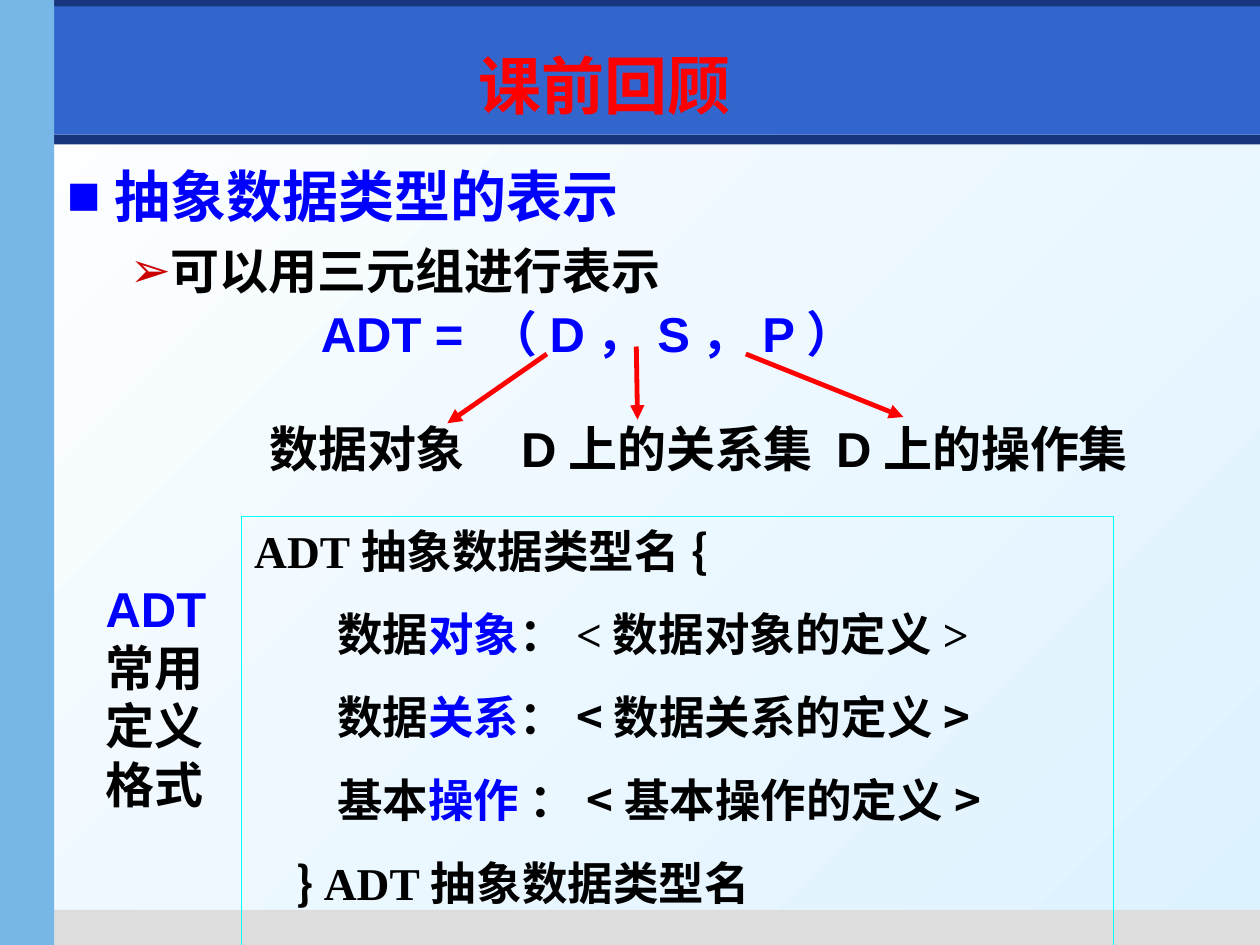
import lxml.etree
import pptx
import pptx.dml.color
import pptx.enum.shapes
import pptx.enum.text
import pptx.oxml.ns
import pptx.util

Pt = pptx.util.Pt
qn = pptx.oxml.ns.qn

COLORS = {
    "navy": "17347D", "banner": "3366CC", "side": "77B7E7", "footer": "DDDDDD",
    "white": "FFFFFF", "pale": "DDF2FF", "blue": "0000FF", "black": "000000",
    "red": "FF0000", "bullet": "CC0000", "frame": "00FFFF",
}
SANS, SERIF, CJK, TITLE_FONT = "Arial", "Times New Roman", "Noto Sans CJK SC", "DejaVu Sans"


def rgb(name):
    return pptx.dml.color.RGBColor.from_string(COLORS[name])


def child(parent, tag, **attributes):
    return lxml.etree.SubElement(parent, qn(tag), attributes)


def place(shape, left, top, width, height):
    shape.left, shape.top, shape.width, shape.height = map(Pt, (left, top, width, height))


def prepare_frame(shape):
    frame = shape.text_frame
    frame.word_wrap = True
    frame.auto_size = pptx.enum.text.MSO_AUTO_SIZE.NONE
    frame.vertical_anchor = pptx.enum.text.MSO_ANCHOR.TOP
    return frame


def set_indent(paragraph, margin, first_line=0):
    properties = paragraph._p.get_or_add_pPr()
    properties.set("marL", str(Pt(margin)))
    properties.set("indent", str(Pt(first_line)))
    return properties


def set_bullet(paragraph, symbol, color, margin, hang):
    properties = set_indent(paragraph, margin, -hang)
    child(child(properties, "a:buClr"), "a:srgbClr", val=COLORS[color])
    child(properties, "a:buChar", char=symbol)


def set_tabs(paragraph, positions):
    tabs = child(paragraph._p.get_or_add_pPr(), "a:tabLst")
    for position in positions:
        child(tabs, "a:tab", pos=str(Pt(position)), algn="l")


def write_runs(paragraph, size, runs):
    """Fill a left-aligned paragraph with bold (text, font, color) runs."""
    paragraph.alignment = pptx.enum.text.PP_ALIGN.LEFT
    for text, font_name, color in runs:
        run = paragraph.add_run()
        run.text = text
        run.font.size = Pt(size)
        run.font.bold = True
        run.font.color.rgb = rgb(color)
        run.font.name = font_name
        child(run._r.get_or_add_rPr(), "a:ea", typeface=CJK)


def add_bar(slide, color, *box):
    bar = slide.shapes.add_shape(pptx.enum.shapes.MSO_SHAPE.RECTANGLE, *map(Pt, box))
    bar.shadow.inherit = False
    bar.fill.solid()
    bar.fill.fore_color.rgb = rgb(color)
    bar.line.fill.background()


def add_arrow(slide, *ends):
    arrow = slide.shapes.add_connector(
        pptx.enum.shapes.MSO_CONNECTOR.STRAIGHT, *map(Pt, ends))
    arrow.line.color.rgb = rgb("red")
    arrow.line.width = Pt(2.75)
    child(arrow.line._get_or_add_ln(), "a:tailEnd", type="triangle")
    child(arrow.element.spPr, "a:effectLst")


def add_backdrop(slide):
    fill = slide.background.fill
    fill.gradient()
    fill.gradient_angle = 315
    for stop, color in zip(fill.gradient_stops, ("white", "pale")):
        stop.color.rgb = rgb(color)
    add_bar(slide, "navy", 0, 77, 720, 5.6)
    add_bar(slide, "footer", 25, 520, 695, 20)
    add_bar(slide, "navy", 0, 0, 720, 15)
    add_bar(slide, "banner", 31, 3.6, 689, 73.4)
    add_bar(slide, "side", 0, 0, 31, 540)


def fill_title(slide):
    title = slide.shapes.title
    slide.shapes.element.append(title.element)  # in front of the banner
    place(title, 266.4, 23, 198.7, 62.6)
    write_runs(prepare_frame(title).paragraphs[0], 36, [("课前回顾", TITLE_FONT, "red")])


def fill_body(slide):
    body = slide.placeholders[1]
    slide.shapes.element.append(body.element)
    place(body, 31, 88.6, 674.6, 424.8)
    frame = prepare_frame(body)
    heading = frame.paragraphs[0]
    set_bullet(heading, "■", "blue", 27.4, 27.4)
    heading.space_before = Pt(0)
    write_runs(heading, 32, [("抽象数据类型的表示", SANS, "blue")])
    point = frame.add_paragraph()
    point.level = 1
    set_bullet(point, "➢", "bullet", 58.3, 22.3)
    point.space_before = Pt(7)
    write_runs(point, 28, [("可以用三元组进行表示", SANS, "black")])


def add_definition(slide):
    box = slide.shapes.add_shape(
        pptx.enum.shapes.MSO_SHAPE.RECTANGLE, Pt(138.2), Pt(295.2), Pt(498.2), Pt(321.8))
    box.shadow.inherit = False
    box.fill.background()
    box.line.color.rgb = rgb("frame")
    box.line.width = Pt(0.75)
    lines = [
        (0, [("ADT", SERIF, "black"), ("抽象数据类型名{", CJK, "black")]),
        (47.5, [("数据", CJK, "black"), ("对象", CJK, "blue"), ("：", CJK, "black"),
                ("<数据对象的定义>", SERIF, "black")]),
        (47.5, [("数据", CJK, "black"), ("关系", CJK, "blue"),
                ("：<数据关系的定义>", CJK, "black")]),
        (47.5, [("基本", CJK, "black"), ("操作", CJK, "blue"),
                (" ：<基本操作的定义>", CJK, "black")]),
        (24, [("} ", CJK, "black"), ("ADT", SERIF, "black"),
              ("抽象数据类型", CJK, "black"), ("名", SERIF, "black")]),
    ]
    frame = prepare_frame(box)
    for index, (margin, runs) in enumerate(lines):
        paragraph = frame.add_paragraph() if index else frame.paragraphs[0]
        set_indent(paragraph, margin)
        paragraph.space_before = Pt(16.2 if index else 0)
        write_runs(paragraph, 26, runs)


def add_side_label(slide):
    label = slide.shapes.add_textbox(Pt(53.3), Pt(326.9), Pt(77.8), Pt(141.8))
    write_runs(prepare_frame(label).paragraphs[0], 28,
               [("ADT", SANS, "blue"), ("常用定义格式", SANS, "black")])


def add_triple(slide):
    box = slide.shapes.add_textbox(Pt(51.8), Pt(169.9), Pt(660.2), Pt(141.8))
    frame = prepare_frame(box)
    formula = frame.paragraphs[0]
    set_indent(formula, 124.5)
    write_runs(formula, 28, [("ADT = （D，S，P）", SANS, "blue")])
    meanings = frame.add_paragraph()
    set_indent(meanings, 95)
    set_tabs(meanings, (226.5, 413))
    meanings.space_before = Pt(32.2)
    write_runs(meanings, 28, [("数据对象\tD上的关系集\tD上的操作集", SANS, "black")])
    # Arrows from D, S and P to their meanings
    for ends in ((312.5, 202.3, 255.6, 241.9), (363.6, 198, 364.3, 239.8),
                 (426.2, 202.3, 516.2, 238.3)):
        add_arrow(slide, *ends)


def main():
    presentation = pptx.Presentation()
    presentation.slide_width, presentation.slide_height = Pt(720), Pt(540)
    slide = presentation.slides.add_slide(presentation.slide_layouts[1])
    add_backdrop(slide)
    fill_body(slide)
    add_definition(slide)
    add_side_label(slide)
    add_triple(slide)
    fill_title(slide)
    presentation.save("out.pptx")


if __name__ == "__main__":
    main()
